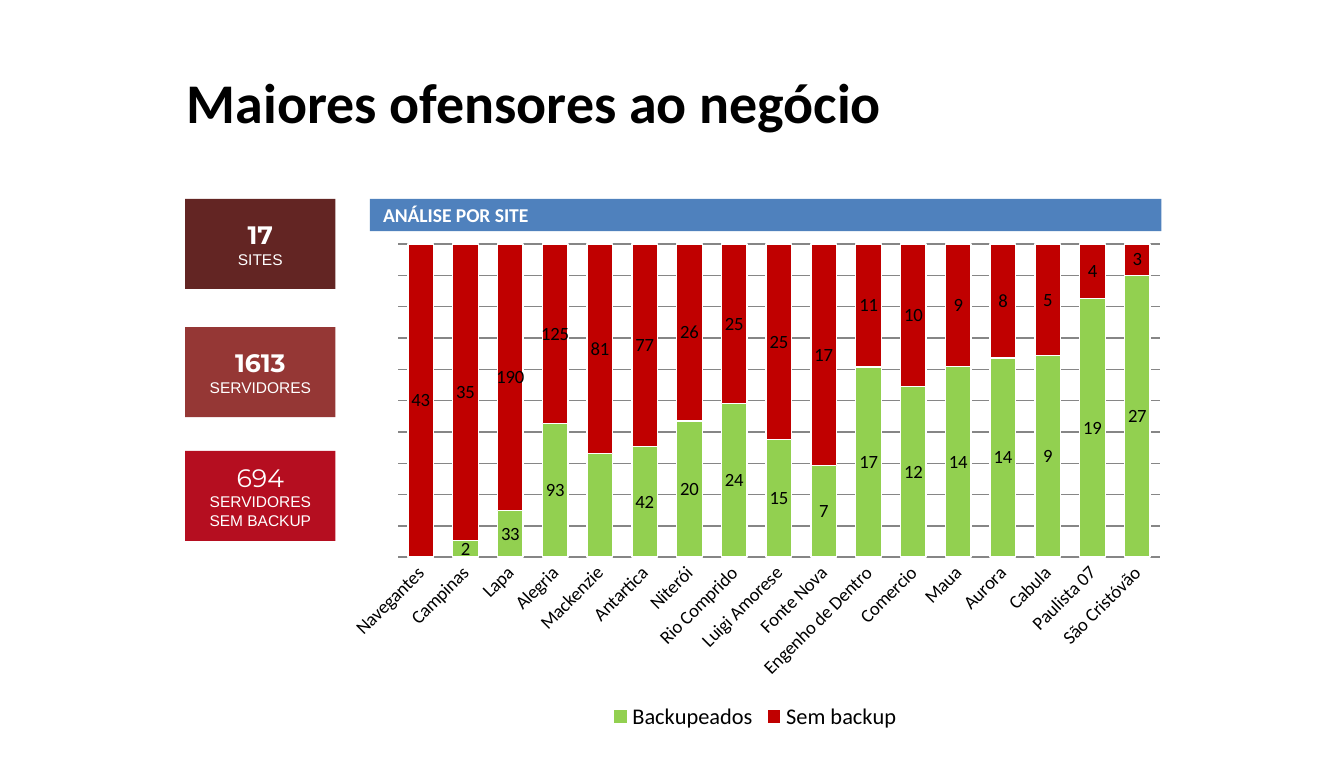
from lxml.etree import SubElement
from pptx import Presentation
from pptx.chart.data import CategoryChartData
from pptx.dml.color import RGBColor
from pptx.enum.chart import XL_CHART_TYPE as ChartType
from pptx.enum.chart import XL_LEGEND_POSITION as LegendPosition
from pptx.enum.chart import XL_TICK_MARK as TickMark
from pptx.enum.shapes import MSO_SHAPE as Shape
from pptx.enum.text import MSO_ANCHOR as Anchor
from pptx.enum.text import MSO_AUTO_SIZE as AutoSize
from pptx.enum.text import PP_ALIGN as Align
from pptx.oxml import parse_xml
from pptx.oxml.ns import nsdecls, qn
from pptx.util import Cm, Pt

CARD_LEFT, CARD_WIDTH, CARD_HEIGHT = 3.5, 2.84, 1.7
CARDS = [
    (3.76, "632523", "17", True, "SITES"),
    (6.18, "953735", "1613", True, "SERVIDORES"),
    (8.52, "B50E20", "694", False, "SERVIDORES SEM BACKUP"),
]
SITES = [
    ("Navegantes", 0, 43),
    ("Campinas", 2, 35),
    ("Lapa", 33, 190),
    ("Alegria", 93, 125),
    ("Mackenzie", 40, 81),
    ("Antartica", 42, 77),
    ("Niterói", 20, 26),
    ("Rio Comprido", 24, 25),
    ("Luigi Amorese", 15, 25),
    ("Fonte Nova", 7, 17),
    ("Engenho de Dentro", 17, 11),
    ("Comercio", 12, 10),
    ("Maua", 14, 9),
    ("Aurora", 14, 8),
    ("Cabula", 9, 5),
    ("Paulista 07", 19, 4),
    ("São Cristóvão", 27, 3),
]
SERIES = [("Backupeados", "92D050", (0, 4)), ("Sem backup", "C00000", ())]
PLOT_LAYOUT = {"x": 0.076, "y": 0.02, "w": 0.905, "h": 0.625}


def paint(color_format, color):
    """Apply a hex colour to a font colour or a solid fill colour."""
    color_format.rgb = RGBColor.from_string(color)


def fill_solid(target, color):
    """Give a shape or chart format a solid fill."""
    target.fill.solid()
    paint(target.fill.fore_color, color)


def style_font(font, name, size, color, bold=False):
    """Set typeface, size, colour and weight."""
    font.name, font.size, font.bold = name, Pt(size), bold
    paint(font.color, color)


def add_span(para, text, name, size, color="FFFFFF", bold=False):
    """Append one formatted run to a paragraph."""
    span = para.add_run()
    span.text = text
    style_font(span.font, name, size, color, bold)


def add_box(page, left, top, width, height, color):
    """Add a flat rectangle and return its text frame."""
    box = page.shapes.add_shape(
        Shape.RECTANGLE, Cm(left), Cm(top), Cm(width), Cm(height))
    box.shadow.inherit = False
    fill_solid(box, color)
    box.line.fill.background()
    frame = box.text_frame
    frame.word_wrap = True
    frame.vertical_anchor = Anchor.MIDDLE
    return frame


def add_title(page, text):
    """Place and format the title placeholder."""
    title = page.shapes.title
    title.left, title.top, title.width, title.height = (
        Cm(3.33), Cm(1.17), Cm(14), Cm(1.47))
    fill_solid(title, "FFFFFF")
    frame = title.text_frame
    frame.word_wrap = True
    frame.auto_size = AutoSize.SHAPE_TO_FIT_TEXT
    frame.vertical_anchor = Anchor.TOP
    frame.margin_left = frame.margin_right = Cm(0.2)
    frame.margin_top = frame.margin_bottom = Cm(0.1)
    para = frame.paragraphs[0]
    para.alignment = Align.LEFT
    add_span(para, text, "Calibri", 30, "000000", True)


def add_header(page, text):
    """Add the band above the chart."""
    frame = add_box(page, 6.99, 3.76, 14.96, 0.61, "4F81BD")
    para = frame.paragraphs[0]
    para.alignment = Align.LEFT
    add_span(para, text, "Calibri", 10.5, bold=True)


def add_card(page, top, color, number, bold, caption):
    """Add a figure card with its caption."""
    frame = add_box(page, CARD_LEFT, top, CARD_WIDTH, CARD_HEIGHT, color)
    figure, label = frame.paragraphs[0], frame.add_paragraph()
    figure.alignment = label.alignment = Align.CENTER
    add_span(figure, number, "Montserrat", 13.5, bold=bold)
    add_span(label, caption, "Arial", 8.3)


def set_plot_layout(chart):
    """Fix the inner plot area as fractions of the chart."""
    plot_area = chart.plots[0]._element.getparent()
    for old in plot_area.findall(qn("c:layout")):
        plot_area.remove(old)
    layout = parse_xml(f"<c:layout {nsdecls('c')}/>")
    manual = SubElement(layout, qn("c:manualLayout"))
    modes = {"layoutTarget": "inner", "xMode": "edge", "yMode": "edge"}
    for tag, value in {**modes, **PLOT_LAYOUT}.items():
        SubElement(manual, qn(f"c:{tag}")).set("val", str(value))
    plot_area.insert(0, layout)


def style_series(series, color, unlabelled):
    """Colour a series and label its values, except the given points."""
    fill_solid(series.format, color)
    paint(series.format.line.color, "FFFFFF")
    series.format.line.width = Pt(0.75)
    labels = series.data_labels
    labels.show_value = True
    style_font(labels.font, "Calibri", 10, "000000")
    for position, index in enumerate(unlabelled):
        labels._element.insert(position, parse_xml(
            f'<c:dLbl {nsdecls("c")}><c:idx val="{index}"/>'
            '<c:delete val="1"/></c:dLbl>'))


def style_axes(chart):
    """Slant the site names and keep only the value gridlines."""
    sites, values = chart.category_axis, chart.value_axis
    sites.major_tick_mark = sites.minor_tick_mark = TickMark.NONE
    style_font(sites.tick_labels.font, "Calibri", 10, "000000")
    sites._element.find(qn("c:txPr")).find(qn("a:bodyPr")).set("rot", "-2700000")
    values.visible = False
    values.has_major_gridlines = True
    values.major_unit = 0.1
    for line in (sites.format.line, values.major_gridlines.format.line):
        paint(line.color, "868686")
        line.width = Pt(0.75)


def add_site_chart(page):
    """Add the stacked share of servers per site."""
    names, covered, exposed = zip(*SITES)
    data = CategoryChartData()
    data.categories = names
    for (label, _, _), numbers in zip(SERIES, (covered, exposed)):
        data.add_series(label, numbers)
    chart = page.shapes.add_chart(
        ChartType.COLUMN_STACKED_100, Cm(6.32), Cm(4.42), Cm(15.9), Cm(9.47),
        data).chart
    style_font(chart.font, "Calibri", 10, "000000")
    chart.has_title = False
    chart.has_legend = True
    chart.legend.position = LegendPosition.BOTTOM
    chart.legend.include_in_layout = False
    style_font(chart.legend.font, "Calibri", 12, "000000")
    plot = chart.plots[0]
    plot.vary_by_categories = False
    plot.gap_width, plot.overlap = 75, 100
    for series, (_, color, unlabelled) in zip(plot.series, SERIES):
        style_series(series, color, unlabelled)
    style_axes(chart)
    set_plot_layout(chart)


def main():
    """Build and save the slide."""
    deck = Presentation()
    deck.slide_width, deck.slide_height = Cm(25.4), Cm(14.3)
    page = deck.slides.add_slide(deck.slide_layouts[5])
    add_title(page, "Maiores ofensores ao negócio")
    add_header(page, "ANÁLISE POR SITE")
    for card in CARDS:
        add_card(page, *card)
    add_site_chart(page)
    deck.save("out.pptx")


if __name__ == "__main__":
    main()
